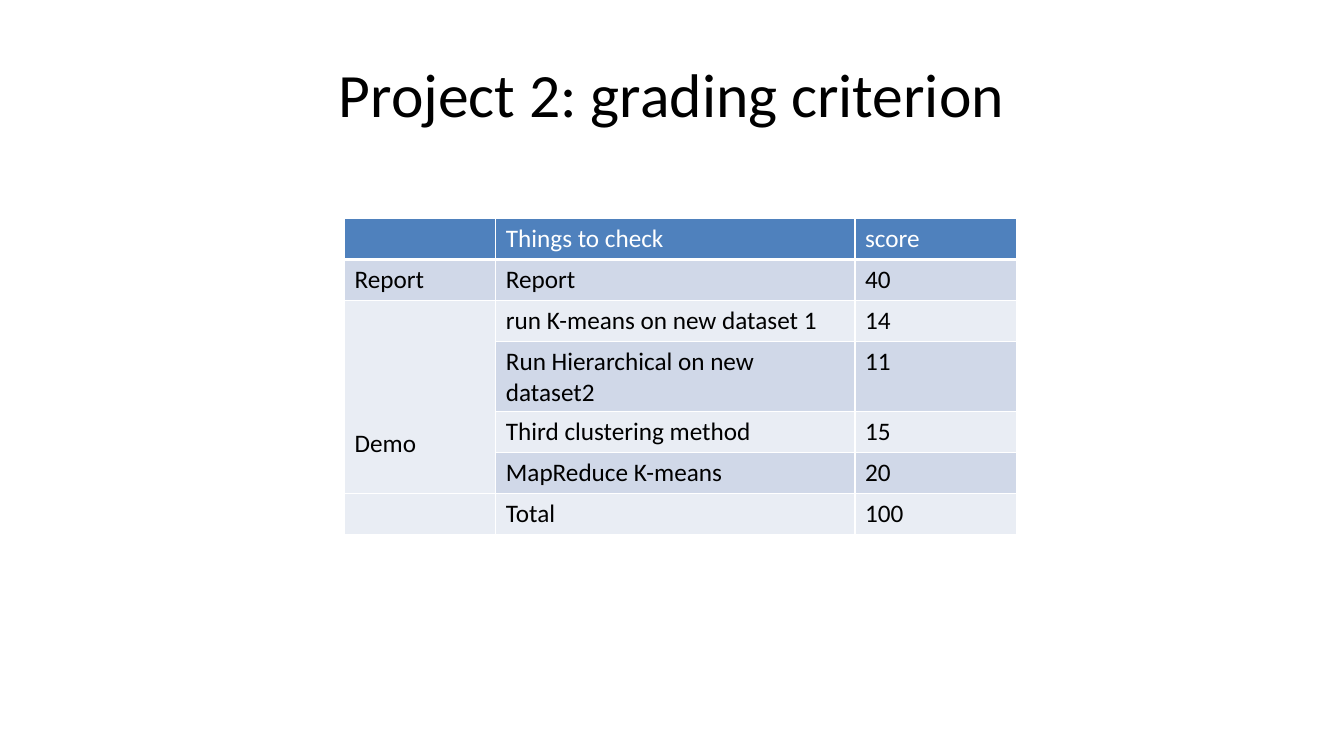
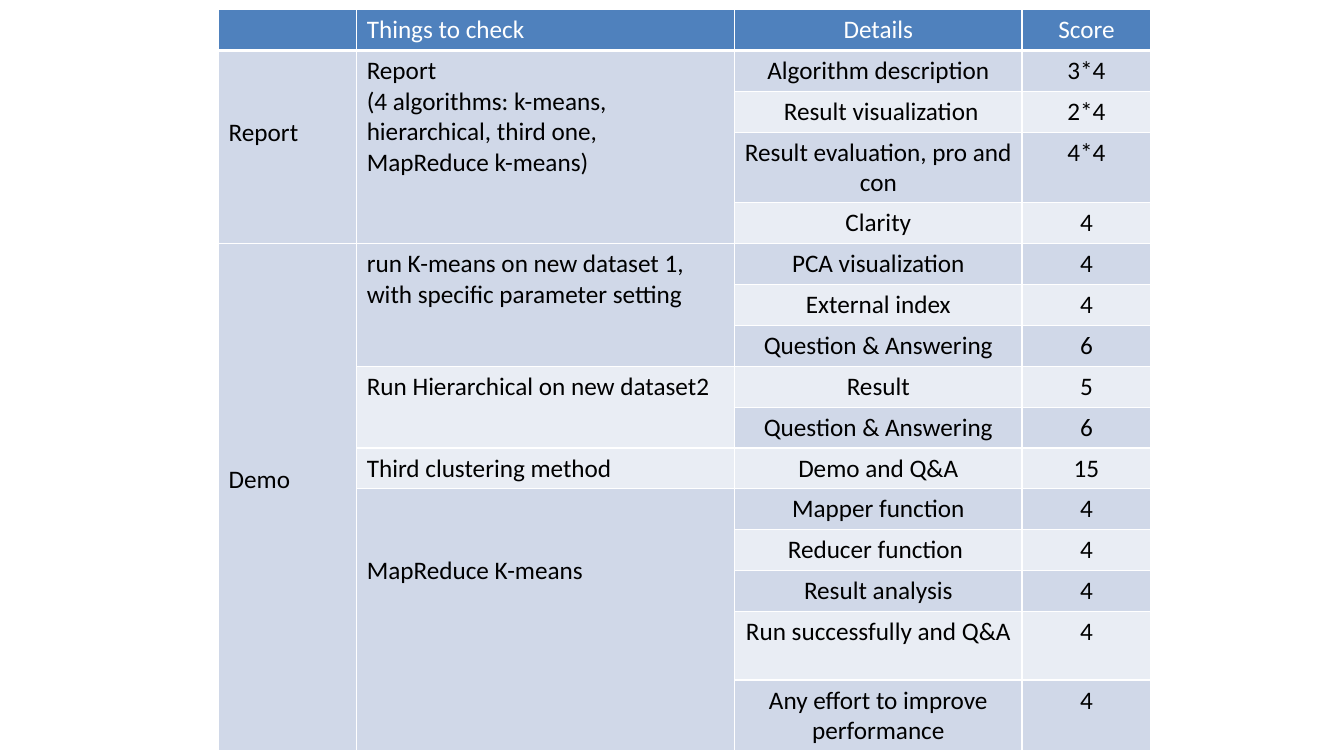
from itertools import takewhile

from lxml.etree import SubElement
from pptx import Presentation
from pptx.dml.color import RGBColor
from pptx.enum.text import MSO_ANCHOR as Anchor, PP_ALIGN as Align
from pptx.oxml.ns import qn
from pptx.util import Pt

BLACK = RGBColor(0x00, 0x00, 0x00)
WHITE = RGBColor(0xFF, 0xFF, 0xFF)
HEADER = RGBColor(0x4F, 0x81, 0xBD)
BANDS = (RGBColor(0xE9, 0xED, 0xF4), RGBColor(0xD0, 0xD8, 0xE8))

FONT = "Calibri"
TITLE_FORMAT = {"name": FONT, "size": Pt(44)}
CELL_FORMAT = {"name": FONT, "size": Pt(18), "bold": False}
CELL_TOP = 3.6
TEXT_LINE = 22
ROW_HEIGHT = 29.2
TALL_ROW = 49

SUMMARY_ROWS = [
    ("", "Things to check", "score"),
    ("Report", "Report", "40"),
    ("Demo", "run K-means on new dataset 1", "14"),
    (None, "Run Hierarchical on new dataset2", "11"),
    (None, "Third clustering method", "15"),
    (None, "MapReduce K-means", "20"),
    ("", "Total", "100"),
]

DETAIL_ROWS = [
    ("", "Things to check", "Details", "Score"),
    ("Report", "Report\n(4 algorithms: k-means, hierarchical, third one, MapReduce k-means)",
     "Algorithm description", "3*4"),
    (None, None, " Result visualization", "2*4"),
    (None, None, "Result evaluation, pro and con", "4*4"),
    (None, None, "Clarity", "4"),
    ("Demo", "run K-means on new dataset 1, with specific parameter setting",
     "PCA visualization", "4"),
    (None, None, "External index", "4"),
    (None, None, "Question & Answering", "6"),
    (None, "Run Hierarchical on new dataset2", "Result", "5"),
    (None, None, "Question & Answering", "6"),
    (None, "Third clustering method", "Demo and Q&A", "15"),
    (None, "MapReduce K-means", "Mapper function", "4"),
    (None, None, "Reducer function ", "4"),
    (None, None, "Result analysis", "4"),
    (None, None, "Run successfully and Q&A", "4"),
    (None, None, "Any effort to improve performance", "4"),
]


def set_format(font, values, color):
    for name, value in values.items():
        setattr(font, name, value)
    font.color.rgb = color


def set_borders(cell, bottom):
    tc_pr = cell._tc.get_or_add_tcPr()
    for side, width in (("L", 1), ("R", 1), ("T", 1), ("B", bottom)):
        ln = SubElement(tc_pr, qn(f"a:ln{side}"), w=str(Pt(width)))
        fill = SubElement(ln, qn("a:solidFill"))
        SubElement(fill, qn("a:srgbClr"), val=str(WHITE))


def add_title(slide, box, text):
    tf = slide.shapes.add_textbox(*map(Pt, box)).text_frame
    tf.word_wrap = True
    tf.vertical_anchor = Anchor.MIDDLE
    p = tf.paragraphs[0]
    p.alignment = Align.CENTER
    r = p.add_run()
    r.text = text
    set_format(r.font, TITLE_FORMAT, BLACK)


def fill_cell(cell, text, is_header, band, align):
    set_borders(cell, 3 if is_header else 1)
    cell.fill.solid()
    cell.fill.fore_color.rgb = HEADER if is_header else band
    if not text:
        return
    cell.text = text
    for p in cell.text_frame.paragraphs:
        p.alignment = align
        for r in p.runs:
            set_format(r.font, CELL_FORMAT, WHITE if is_header else BLACK)


def add_score_table(slide, origin, widths, rows, aligns, tall=(), lowered=None):
    heights = [TALL_ROW if i in tall else ROW_HEIGHT for i in range(len(rows))]
    box = (*origin, sum(widths), sum(heights))
    table = slide.shapes.add_table(len(rows), len(widths), *map(Pt, box)).table
    table.first_row = table.horz_banding = False
    for col, width in zip(table.columns, widths):
        col.width = Pt(width)
    for row, height in zip(table.rows, heights):
        row.height = Pt(height)
    for i, values in enumerate(rows):
        for j, text in enumerate(values):
            cell = table.cell(i, j)
            fill_cell(cell, text, i == 0, BANDS[i % 2], aligns[j])
            below = takewhile(lambda later: later[j] is None, rows[i + 1:])
            span = len(list(below))
            if text is not None and span:
                cell.merge(table.cell(i + span, j))
    for (i, j), lines in (lowered or {}).items():
        table.cell(i, j).margin_top = Pt(CELL_TOP + lines * TEXT_LINE)


def build_summary(slide):
    add_title(slide, (48, 21.6, 864, 90), "Project 2: grading criterion")
    add_score_table(slide, (246.2, 156.2), (108, 256.5, 115.5), SUMMARY_ROWS,
                    [Align.LEFT] * 3, lowered={(2, 0): 4})


def build_details(slide):
    add_score_table(slide, (156.2, 6.8), (98.6, 270, 205.2, 92.2), DETAIL_ROWS,
                    [Align.LEFT] * 2 + [Align.CENTER] * 2, tall=(3, 14, 15),
                    lowered={(1, 0): 2, (5, 0): 7, (11, 1): 2})


def main():
    prs = Presentation()
    prs.slide_width, prs.slide_height = Pt(960), Pt(540)
    for build in (build_summary, build_details):
        build(prs.slides.add_slide(prs.slide_layouts[6]))
    prs.save("out.pptx")


if __name__ == "__main__":
    main()
